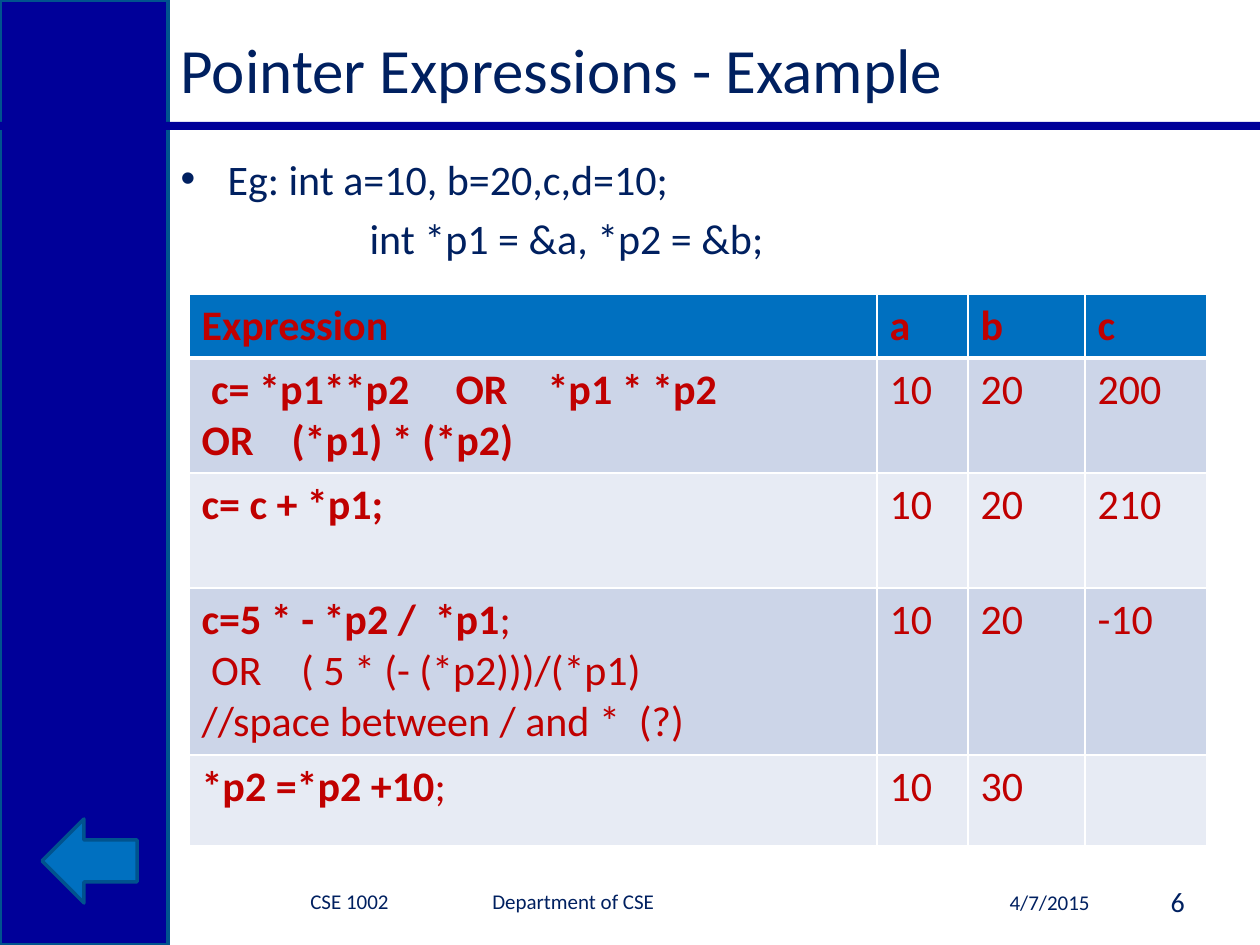
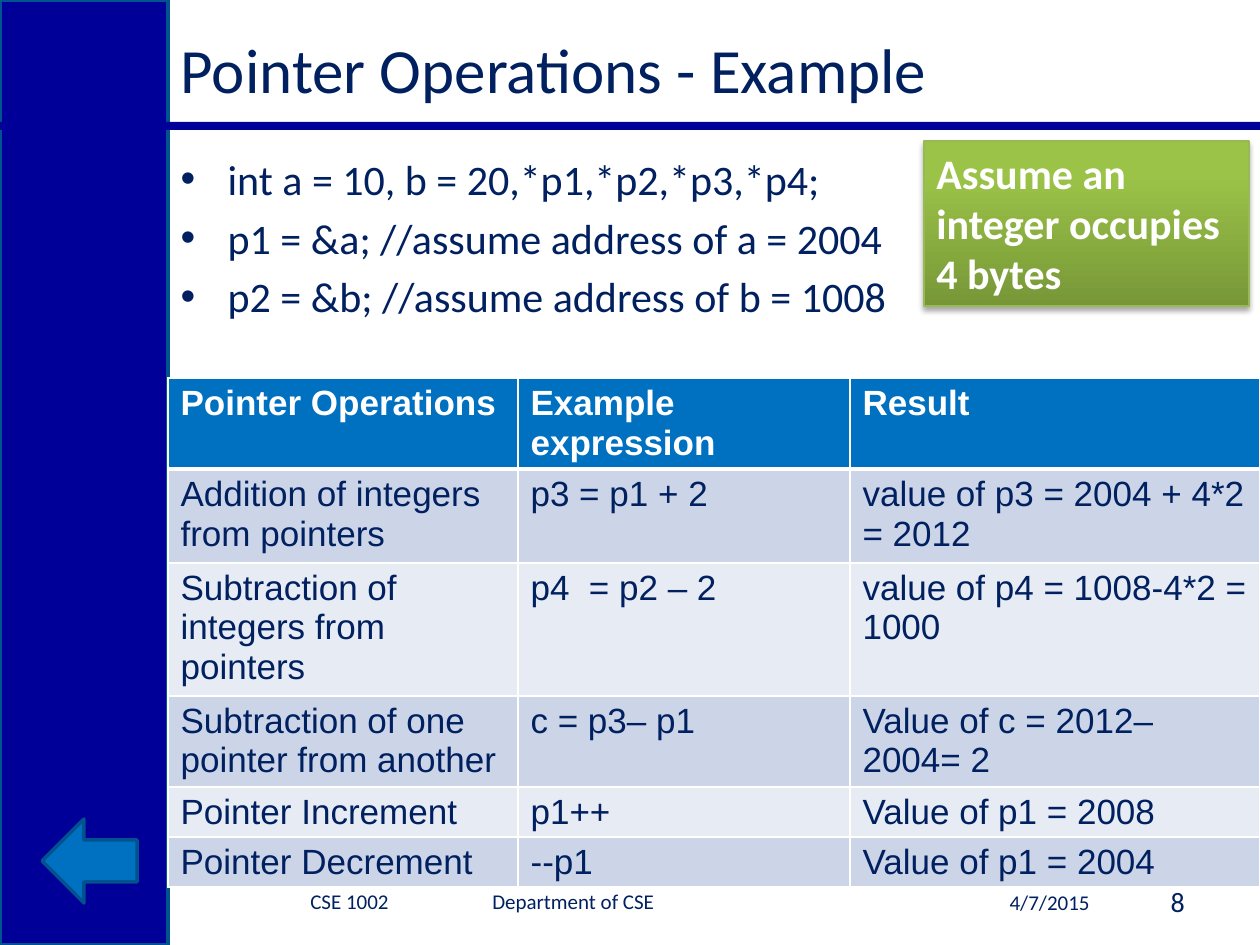
from lxml.etree import SubElement
from pptx import Presentation
from pptx.dml.color import RGBColor
from pptx.enum.shapes import MSO_SHAPE
from pptx.enum.text import MSO_ANCHOR, MSO_AUTO_SIZE, PP_ALIGN
from pptx.oxml.ns import qn
from pptx.util import Emu, Pt

WIDTH, HEIGHT = 1260, 945
COLORS = {
    "band": "000099", "edge": "00538E", "ink": "002060", "header": "0070C0",
    "odd": "CCD5E8", "even": "E7EBF4", "red": "C00000", "white": "FFFFFF",
    "green_dark": "779737", "green": "9BC348", "green_edge": "98B955",
    "shadow": "000000",
}
BAND_W = 168
ROW_FILLS = ("odd", "even")


def px(n):
    return Emu(round(n * 914400 / 126))


def rgb(name):
    return RGBColor.from_string(COLORS[name])


def write(tf, lines, size=24, color="ink", font="Calibri", bold=False,
          align=None, anchor=None, tabs=(), margin=None, hanging=0, gap=0):
    """Fill a text frame; a line is a string or a (bold part, plain part) pair."""
    tf.word_wrap = True
    if anchor is not None:
        tf.vertical_anchor = anchor
    for i, line in enumerate(lines):
        p = tf.paragraphs[0] if i == 0 else tf.add_paragraph()
        pPr = p._p.get_or_add_pPr()
        if margin is not None:
            pPr.set("marL", str(px(margin)))
            pPr.set("indent", str(px(-hanging)))
        if tabs:
            tab_list = SubElement(pPr, qn("a:tabLst"))
            for stop in tabs:
                SubElement(tab_list, qn("a:tab"), pos=str(px(stop)), algn="l")
        p.alignment = align
        p.space_before = Pt(gap if i else 0)
        parts = [(line, bold)] if isinstance(line, str) else zip(line, (True, False))
        for text, heavy in parts:
            if not text:
                continue
            r = p.add_run()
            r.text = text
            r.font.name, r.font.size, r.font.bold = font, Pt(size), heavy
            r.font.color.rgb = rgb(color)


def place(sp, box):
    sp.left, sp.top, sp.width, sp.height = map(px, box)


def add_shape(s, kind, box, fill, edge=None, weight=2):
    sp = s.shapes.add_shape(kind, *map(px, box))
    sp.shadow.inherit = False
    sp.fill.solid()
    sp.fill.fore_color.rgb = rgb(fill)
    if edge:
        sp.line.color.rgb = rgb(edge)
        sp.line.width = Pt(weight)
    else:
        sp.line.fill.background()
    return sp


def add_label(s, box, text, **fmt):
    tf = s.shapes.add_textbox(*map(px, box)).text_frame
    write(tf, [text], anchor=MSO_ANCHOR.MIDDLE, **fmt)


def add_footer(s, number):
    top, height = 876, 50
    add_label(s, (882, top + 1, 220, height), "4/7/2015", size=12, align=PP_ALIGN.RIGHT)
    add_label(s, (1102, top, 95, height), str(number), size=16, align=PP_ALIGN.RIGHT)
    add_label(s, (298, top, 490, height), "CSE 1002\tDepartment of CSE",
              size=12, tabs=(182,))


def add_base_slide(prs, title, number):
    s = prs.slides.add_slide(prs.slide_layouts[1])
    add_shape(s, MSO_SHAPE.RECTANGLE, (0, 0, BAND_W, HEIGHT), "band", "edge")
    add_shape(s, MSO_SHAPE.RECTANGLE, (0, 122, WIDTH, 8), "band")
    place(s.shapes.title, (BAND_W, 21, 987, 95))
    write(s.shapes.title.text_frame, [title], size=36, align=PP_ALIGN.LEFT,
          anchor=MSO_ANCHOR.MIDDLE)
    add_shape(s, MSO_SHAPE.LEFT_ARROW, (42, 819, 95, 84), "header", "edge")
    return s


def add_body(s, lines, width, height, align=None):
    body = s.placeholders[1]
    place(body, (BAND_W, 147, width, height))
    tf = body.text_frame
    tf.auto_size = MSO_AUTO_SIZE.NONE
    write(tf, lines, margin=47, hanging=47, gap=4.8, align=align)
    return tf


def underline_cell(cell):
    line = SubElement(cell._tc.get_or_add_tcPr(), qn("a:lnB"), w=str(Pt(3)))
    fill = SubElement(line, qn("a:solidFill"))
    SubElement(fill, qn("a:srgbClr"), val=COLORS["white"])


def add_grid(s, left, top, col_widths, row_heights, rows, head_color, **fmt):
    """Table with a header row and rows in alternating fills."""
    box = (left, top, sum(col_widths), sum(row_heights))
    table = s.shapes.add_table(len(rows), len(col_widths), *map(px, box)).table
    for column, width in zip(table.columns, col_widths):
        column.width = px(width)
    for i, (cells, height) in enumerate(zip(rows, row_heights)):
        table.rows[i].height = px(height)
        look = fmt if i else {**fmt, "color": head_color, "bold": True}
        for j, content in enumerate(cells):
            cell = table.cell(i, j)
            cell.margin_bottom = 0
            if i == 0:
                underline_cell(cell)
            cell.fill.solid()
            cell.fill.fore_color.rgb = rgb(ROW_FILLS[(i - 1) % 2] if i else "header")
            lines = content if isinstance(content, list) else [content]
            write(cell.text_frame, lines, **look)


def add_note(s, box, text):
    sp = add_shape(s, MSO_SHAPE.RECTANGLE, box, "green", "green_edge", 0.75)
    sp.fill.gradient()
    sp.fill.gradient_angle = 90
    stops = (("green_dark", 0), ("green", 0.8))
    for stop, (color, position) in zip(sp.fill.gradient_stops, stops):
        stop.color.rgb = rgb(color)
        stop.position = position
    effects = sp._element.spPr.find(qn("a:effectLst"))
    shadow = SubElement(effects, qn("a:outerShdw"), blurRad=str(Pt(3.1)),
                        dist=str(Pt(1.8)), dir="5400000", rotWithShape="0")
    shade = SubElement(shadow, qn("a:srgbClr"), val=COLORS["shadow"])
    SubElement(shade, qn("a:alpha"), val="35000")
    write(sp.text_frame, [text], color="white", bold=True, align=PP_ALIGN.LEFT,
          anchor=MSO_ANCHOR.TOP)


def build_expressions(prs):
    s = add_base_slide(prs, "Pointer Expressions - Example", 6)
    tf = add_body(s, ["Eg: int a=10, b=20,c,d=10;", "int *p1 = &a, *p2 = &b;"], 1029, 136)
    pPr = tf.paragraphs[1]._p.get_or_add_pPr()
    pPr.set("marL", str(px(189)))
    pPr.set("indent", "0")
    SubElement(pPr, qn("a:buNone"))
    rows = [
        ("Expression", "a", "b", "c"),
        ([(" c= *p1**p2\tOR\t*p1 * *p2", ""), ("OR\t(*p1) * (*p2)", "")],
         "10", "20", "200"),
        (("c= c + *p1;", ""), "10", "20", "210"),
        ([("c=5 * - *p2 /  *p1", ";"), " OR\t ( 5 * (- (*p2)))/(*p1)",
          "//space between / and *  (?)"], "10", "20", "-10"),
        (("*p2 =*p2 +10", ";"), "10", "30", ""),
    ]
    add_grid(s, 189, 294, (688, 91, 117, 122), (64, 115, 115, 167, 91), rows,
             "red", color="red", tabs=(90, 254, 346))
    add_footer(s, 6)


def build_operations(prs):
    s = add_base_slide(prs, "Pointer Operations - Example", 8)
    add_body(s, ["int a = 10, b = 20,*p1,*p2,*p3,*p4;",
                 "p1 = &a; //assume address of a = 2004",
                 "p2 = &b; //assume address of b = 1008"],
             746, 220, PP_ALIGN.JUSTIFY)
    rows = [
        ("Pointer Operations", "Example expression", "Result"),
        ("Addition of integers from pointers", "p3 = p1 + 2",
         "value of p3 = 2004 + 4*2 = 2012"),
        ("Subtraction of integers from pointers", "p4  = p2 – 2",
         "value of p4 = 1008-4*2 = 1000"),
        ("Subtraction of one pointer from another", "c = p3– p1",
         "Value of c = 2012– 2004= 2"),
        ("Pointer Increment", "p1++", "Value of p1 = 2008"),
        ("Pointer Decrement", "--p1", "Value of p1 = 2004"),
    ]
    add_grid(s, 168, 378, (350, 332, 410), (91, 94, 133, 91, 50, 50), rows,
             "white", size=20, font="Arial")
    add_note(s, (924, 141, 325, 165), "Assume an integer occupies 4 bytes")
    add_footer(s, 8)


def main():
    prs = Presentation()
    prs.slide_width, prs.slide_height = px(WIDTH), px(HEIGHT)
    build_expressions(prs)
    build_operations(prs)
    prs.save("out.pptx")


if __name__ == "__main__":
    main()
